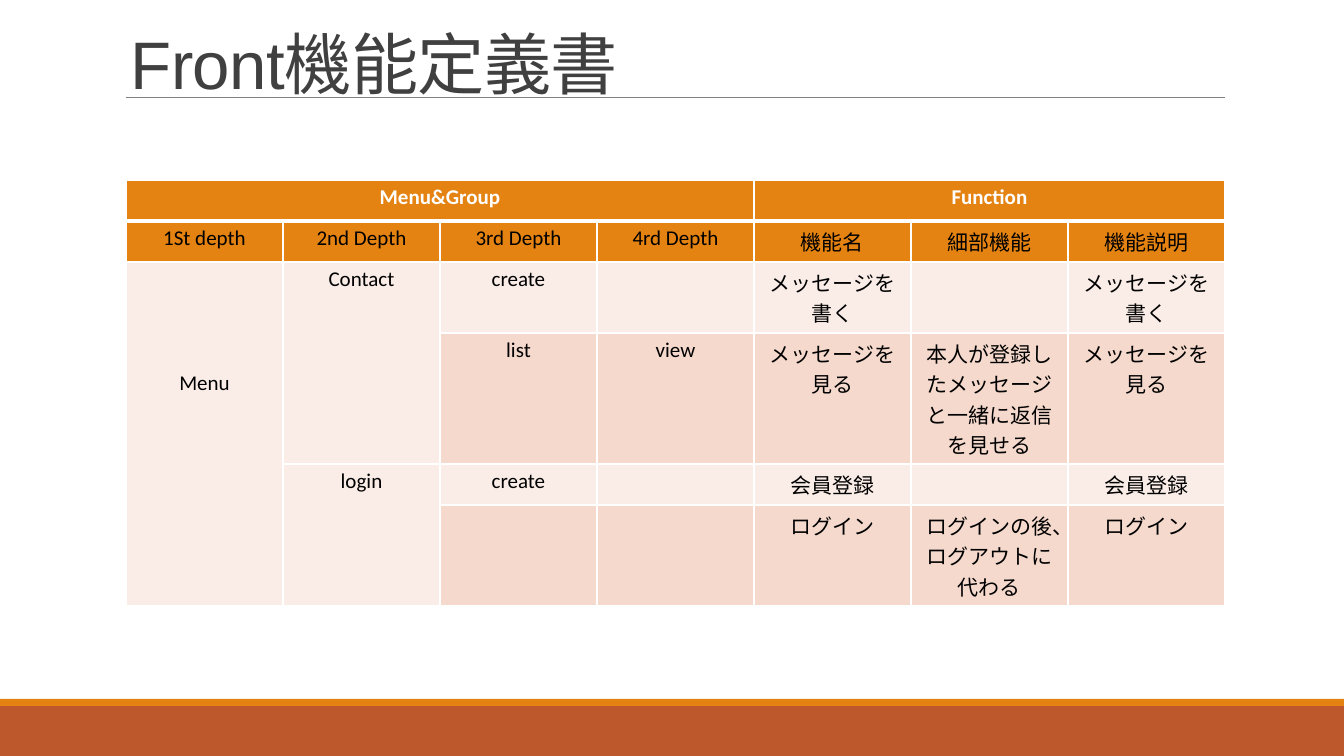
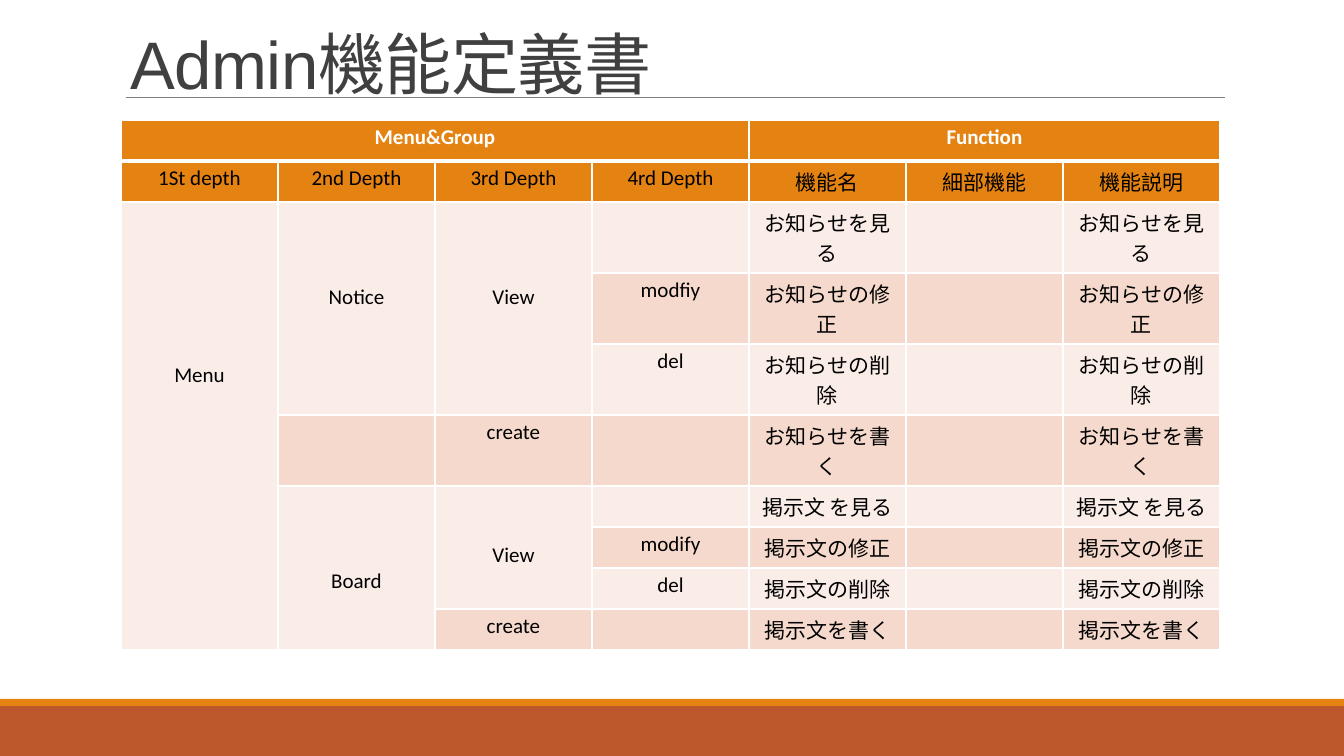
from dataclasses import dataclass

from lxml.etree import SubElement
from pptx import Presentation
from pptx.dml.color import RGBColor
from pptx.enum.shapes import MSO_CONNECTOR, MSO_SHAPE
from pptx.enum.text import MSO_ANCHOR, PP_ALIGN
from pptx.oxml.ns import qn
from pptx.util import Pt


@dataclass(frozen=True)
class Theme:
    white: str = "FFFFFF"
    black: str = "000000"
    ink: str = "404040"
    rule: str = "808080"
    rust: str = "BD582C"
    orange: str = "E48312"
    pale: str = "FAEDE7"
    blush: str = "F5D9CC"
    head: str = "Arial"
    body: str = "Calibri"
    large: int = 48
    small: int = 15


theme = Theme()
SCALE = 914400 / 100.8
WIDE, HIGH = 1344, 756
COL, ROW, PAD, LINE = 157, 41, 5, 26


def px(*sizes):
    return [round(size * SCALE) for size in sizes]


def edge(cell, side, color, width):
    line = SubElement(cell._tc.get_or_add_tcPr(), qn(f"a:ln{side}"), w=str(Pt(width)))
    fill = SubElement(line, qn("a:solidFill"))
    SubElement(fill, qn("a:srgbClr"), val=color)


heads = [
    ["Menu&Group", "", "", "", "Function", "", ""],
    ["1St depth", "2nd Depth", "3rd Depth", "4rd Depth", "機能名", "細部機能", "機能説明"],
]
spans = [(0, 0, 1, 4), (0, 4, 1, 3)]

pages = [
    {
        "title": "Front機能定義書",
        "spot": (126, 180),
        "rows": [
            ["Menu", "Contact", "create", "", "メッセージを書く", "", "メッセージを書く"],
            ["", "", "list", "view", "メッセージを見る",
             "本人が登録したメッセージと一緒に返信を見せる", "メッセージを見る"],
            ["", "login", "create", "", "会員登録", "", "会員登録"],
            ["", "", "", "", "ログイン", "ログインの後、ログアウトに代わる", "ログイン"],
        ],
        "tall": [71, 131, ROW, 101],
        "spans": [(2, 0, 4, 1), (2, 1, 2, 1), (4, 1, 2, 1)],
        "drops": {(2, 0): 4},
    },
    {
        "title": "Admin機能定義書",
        "spot": (121, 120),
        "rows": [
            ["Menu", "Notice", "View", "", "お知らせを見る", "", "お知らせを見る"],
            ["", "", "", "modfiy", "お知らせの修正", "", "お知らせの修正"],
            ["", "", "", "del", "お知らせの削除", "", "お知らせの削除"],
            ["", "", "create", "", "お知らせを書く", "", "お知らせを書く"],
            ["", "Board", "View", "", "掲示文 を見る", "", "掲示文 を見る"],
            ["", "", "", "modify", "掲示文の修正", "", "掲示文の修正"],
            ["", "", "", "del", "掲示文の削除", "", "掲示文の削除"],
            ["", "", "create", "", "掲示文を書く", "", "掲示文を書く"],
        ],
        "tall": [71] * 4 + [ROW] * 4,
        "spans": [(2, 0, 8, 1), (2, 1, 3, 1), (2, 2, 3, 1), (6, 1, 4, 1), (6, 2, 3, 1)],
        "drops": {(2, 0): 6, (2, 1): 3, (2, 2): 3, (6, 1): 3, (6, 2): 2},
    },
]

deck = Presentation()
deck.slide_width, deck.slide_height = px(WIDE, HIGH)

for page in pages:
    slide = deck.slides.add_slide(deck.slide_layouts[6])

    for top, high, color in [(706, 50, theme.rust), (699, 7, theme.orange)]:
        band = slide.shapes.add_shape(MSO_SHAPE.RECTANGLE, *px(0, top, WIDE, high))
        band.shadow.inherit = False
        band.fill.solid()
        band.fill.fore_color.rgb = RGBColor.from_string(color)
        band.line.fill.background()

    rule = slide.shapes.add_connector(MSO_CONNECTOR.STRAIGHT, *px(126, 97, 1225, 97))
    rule.line.color.rgb = RGBColor.from_string(theme.rule)
    rule.line.width = Pt(0.5)
    SubElement(rule._element.spPr, qn("a:effectLst"))

    frame = slide.shapes.add_textbox(*px(121, 2, 1109, 106)).text_frame
    frame.word_wrap = True
    frame.vertical_anchor = MSO_ANCHOR.BOTTOM
    title = frame.paragraphs[0]
    title.text = page["title"]
    title.line_spacing = 0.85
    title.font.name = theme.head
    title.font.size = Pt(theme.large)
    title.font.color.rgb = RGBColor.from_string(theme.ink)
    title._p.get_or_add_pPr().get_or_add_defRPr().set("spc", "-50")

    rows = heads + page["rows"]
    tall = [ROW] * len(heads) + page["tall"]
    count = len(heads[0])
    table = slide.shapes.add_table(
        len(rows), count, *px(*page["spot"], COL * count, sum(tall))
    ).table
    for col in table.columns:
        col.width = px(COL)[0]
    for row, high in zip(table.rows, tall):
        row.height = px(high)[0]
    for r, c, down, across in spans + page["spans"]:
        table.cell(r, c).merge(table.cell(r + down - 1, c + across - 1))

    for r, row in enumerate(rows):
        shade = theme.orange if r < 2 else (theme.pale, theme.blush)[r % 2]
        for c, text in enumerate(row):
            cell = table.cell(r, c)
            if cell.is_spanned:
                continue
            thick = {"T": 3 if r == 1 else 1, "B": 3 if r == 0 else 1}
            for side in "LRTB":
                edge(cell, side, theme.white, thick.get(side, 1))
            cell.fill.solid()
            cell.fill.fore_color.rgb = RGBColor.from_string(shade)
            cell.margin_top = px(PAD + LINE * page["drops"].get((r, c), 0))[0]
            para = cell.text_frame.paragraphs[0]
            para.text = text
            para.alignment = PP_ALIGN.CENTER
            para.font.name = theme.body
            para.font.size = Pt(theme.small)
            para.font.bold = r == 0
            para.font.color.rgb = RGBColor.from_string(theme.black if r else theme.white)

deck.save("out.pptx")
